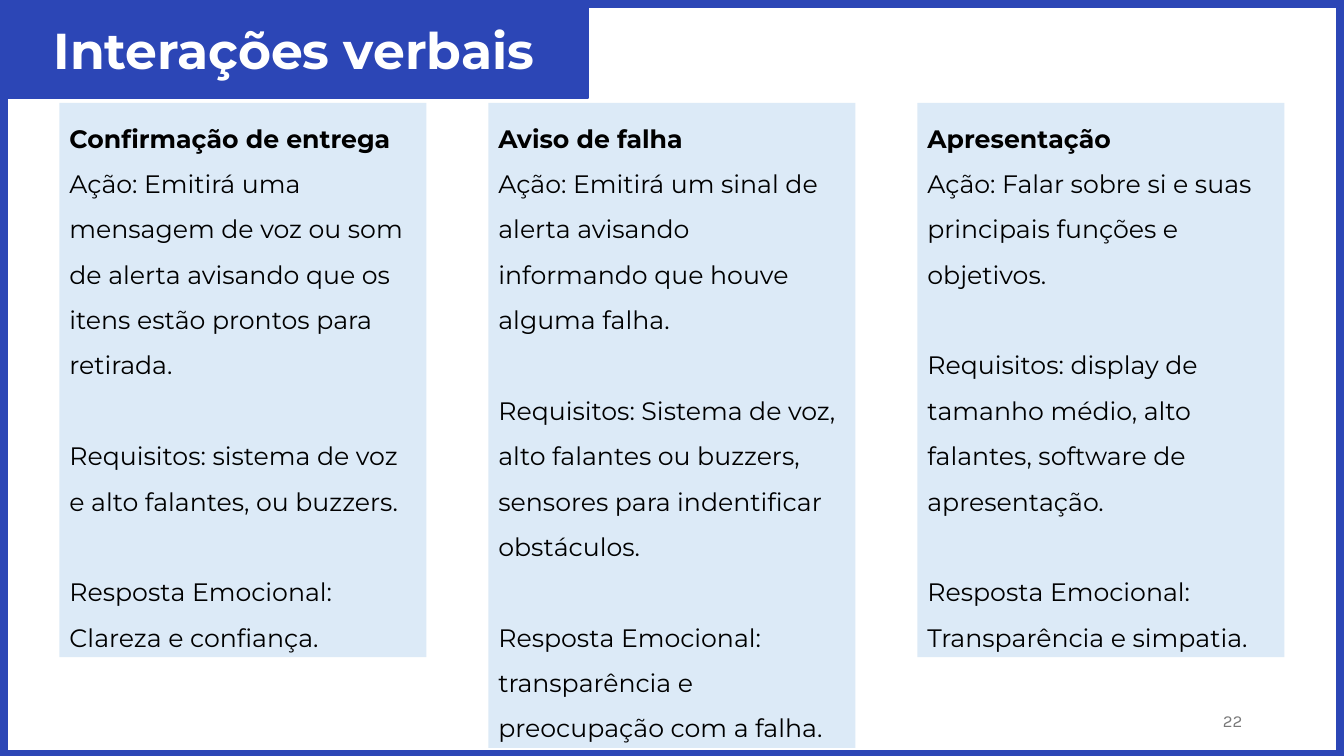
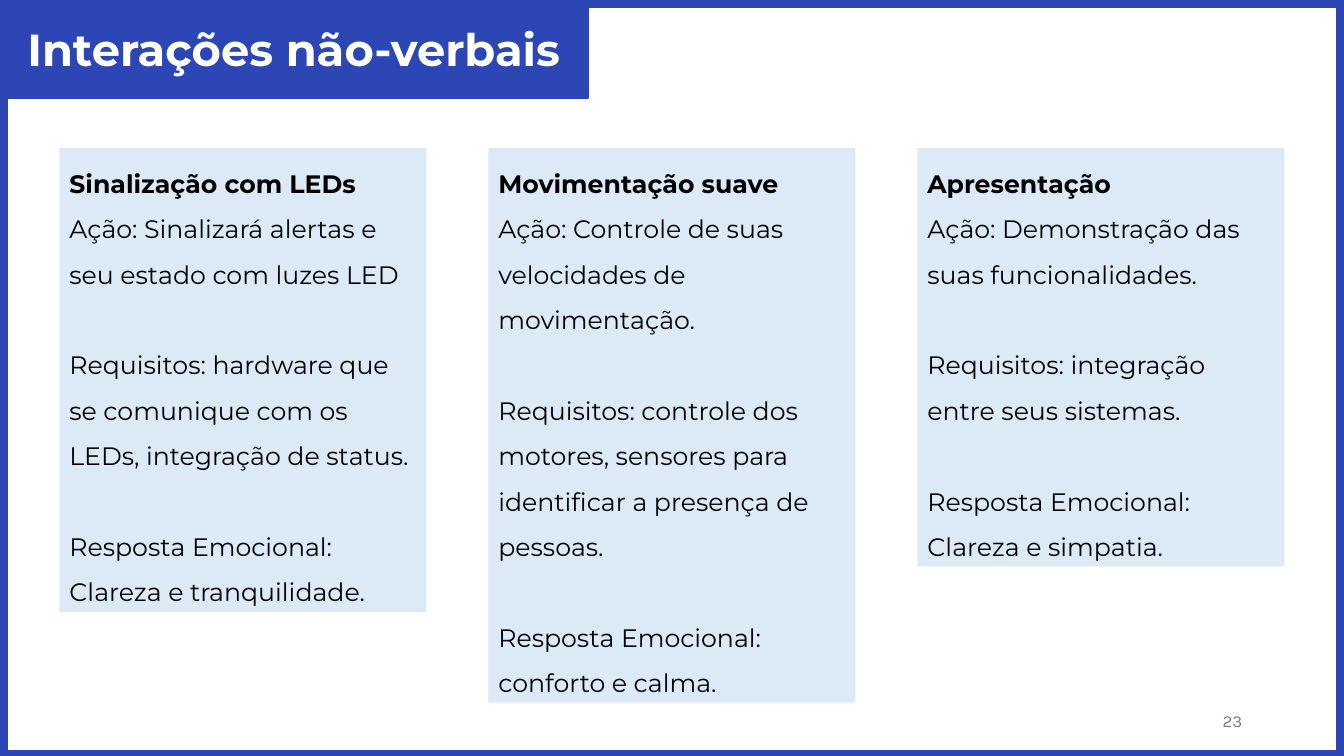
from dataclasses import dataclass

import pptx
import pptx.dml.color
import pptx.enum.shapes
import pptx.enum.text
import pptx.util

Inches = pptx.util.Inches
Pt = pptx.util.Pt
Align = pptx.enum.text.PP_ALIGN


@dataclass(frozen=True)
class Theme:
    width: float = 13.33
    height: float = 7.5
    blue: str = "2C46B6"
    pale: str = "DCEAF7"
    white: str = "FFFFFF"
    black: str = "000000"
    grey: str = "797979"
    font: str = "Montserrat"
    number_font: str = "Karla"
    body_size: int = 18
    number_size: int = 12
    outline: float = 1.5
    edge: float = 0.07
    margin: float = 0.59
    card_width: float = 3.64
    line_pitch: float = 0.45
    inset: float = 0.05


THEME = Theme()


@dataclass(frozen=True)
class Box:
    left: float
    top: float
    width: float
    height: float

    def lengths(self) -> list[int]:
        return [Inches(n) for n in (self.left, self.top, self.width, self.height)]


@dataclass(frozen=True)
class Card:
    heading: str
    action: str
    requirements: str
    emotion: str
    lines: int


@dataclass(frozen=True)
class Page:
    title: str
    title_size: int
    cards_top: float
    number: int
    cards: tuple[Card, ...]


TITLE_BAND = Box(0, 0, 5.83, 0.97)
NUMBER_BOX = Box(9.42, 6.95, 3, 0.4)
FRAME = (
    Box(5.48, 0, THEME.width - 5.48, THEME.edge),
    Box(0, 7.45, THEME.width, THEME.height - 7.45),
    Box(THEME.width - THEME.edge, 0, THEME.edge, THEME.height),
    Box(0, 0, THEME.edge, THEME.height),
)

PAGES = (
    Page("Interações verbais", 36, 1.02, 22, (
        Card("Confirmação de entrega",
             "Emitirá uma mensagem de voz ou som de alerta avisando que os "
             "itens estão prontos para retirada.",
             "sistema de voz e alto falantes, ou buzzers.",
             "Clareza e confiança.", 12),
        Card("Aviso de falha",
             "Emitirá um sinal de alerta avisando informando que houve "
             "alguma falha.",
             "Sistema de voz, alto falantes ou buzzers, sensores para "
             "indentificar obstáculos.",
             "transparência e preocupação com a falha.", 14),
        Card("Apresentação",
             "Falar sobre si e suas principais funções e objetivos.",
             "display de tamanho médio, alto falantes, software de "
             "apresentação.",
             "Transparência e simpatia.", 12),
    )),
    Page("Interações não-verbais", 32, 1.47, 23, (
        Card("Sinalização com LEDs",
             "Sinalizará alertas e seu estado com luzes LED",
             "hardware que se comunique com os LEDs, integração de status.",
             "Clareza e tranquilidade.", 10),
        Card("Movimentação suave",
             "Controle de suas velocidades de movimentação.",
             "controle dos motores, sensores para identificar a presença "
             "de pessoas.",
             "conforto e calma.", 12),
        Card("Apresentação",
             "Demonstração das suas funcionalidades.",
             "integração entre seus sistemas.",
             "Clareza e simpatia.", 9),
    )),
)


def rgb(value: str) -> pptx.dml.color.RGBColor:
    return pptx.dml.color.RGBColor.from_string(value)


def add_panel(slide, box: Box, fill: str, outlined: bool = False):
    panel = slide.shapes.add_shape(
        pptx.enum.shapes.MSO_SHAPE.RECTANGLE, *box.lengths())
    panel.shadow.inherit = False
    panel.fill.solid()
    panel.fill.fore_color.rgb = rgb(fill)
    if outlined:
        panel.line.color.rgb = rgb(fill)
        panel.line.width = Pt(THEME.outline)
    else:
        panel.line.fill.background()
    return panel


def prepare_frame(shape):
    frame = shape.text_frame
    frame.word_wrap = True
    frame.vertical_anchor = pptx.enum.text.MSO_ANCHOR.MIDDLE
    return frame


def write(paragraph, text: str, size: int, color: str, align: Align,
          font: str = THEME.font, bold: bool = False) -> None:
    paragraph.alignment = align
    run = paragraph.add_run()
    run.text = text
    run.font.name = font
    run.font.size = Pt(size)
    run.font.bold = bold
    run.font.color.rgb = rgb(color)


def add_card(slide, card: Card, column: int, columns: int, top: float) -> None:
    """Place a card in its column, as tall as its count of text lines."""
    step = (THEME.width - 2 * THEME.margin - THEME.card_width) / (columns - 1)
    box = Box(THEME.margin + column * step, top, THEME.card_width,
              card.lines * THEME.line_pitch + 2 * THEME.inset)
    frame = prepare_frame(add_panel(slide, box, THEME.pale))
    frame.auto_size = pptx.enum.text.MSO_AUTO_SIZE.SHAPE_TO_FIT_TEXT
    entries = (
        (card.heading, True, 0),
        (f"Ação: {card.action}", False, 0),
        (f"Requisitos: {card.requirements}", False, THEME.line_pitch),
        (f"Resposta Emocional: {card.emotion}", False, THEME.line_pitch),
    )
    for index, (text, bold, gap) in enumerate(entries):
        paragraph = frame.add_paragraph() if index else frame.paragraphs[0]
        paragraph.line_spacing = 1.5
        paragraph.space_before = Pt(gap * 72)
        write(paragraph, text, THEME.body_size, THEME.black, Align.LEFT,
              bold=bold)


def add_title(slide, page: Page) -> None:
    band = add_panel(slide, TITLE_BAND, THEME.blue, outlined=True)
    write(prepare_frame(band).paragraphs[0], page.title, page.title_size,
          THEME.white, Align.CENTER, bold=True)


def add_page_number(slide, number: int) -> None:
    label = slide.shapes.add_textbox(*NUMBER_BOX.lengths())
    write(prepare_frame(label).paragraphs[0], str(number), THEME.number_size,
          THEME.grey, Align.RIGHT, font=THEME.number_font)


def build_page(deck, page: Page) -> None:
    slide = deck.slides.add_slide(deck.slide_layouts[6])
    slide.background.fill.solid()
    slide.background.fill.fore_color.rgb = rgb(THEME.white)
    for column, card in enumerate(page.cards):
        add_card(slide, card, column, len(page.cards), page.cards_top)
    add_title(slide, page)
    for edge in FRAME:
        add_panel(slide, edge, THEME.blue, outlined=True)
    add_page_number(slide, page.number)


def main() -> None:
    deck = pptx.Presentation()
    deck.slide_width = Inches(THEME.width)
    deck.slide_height = Inches(THEME.height)
    for page in PAGES:
        build_page(deck, page)
    deck.save("out.pptx")


if __name__ == "__main__":
    main()
